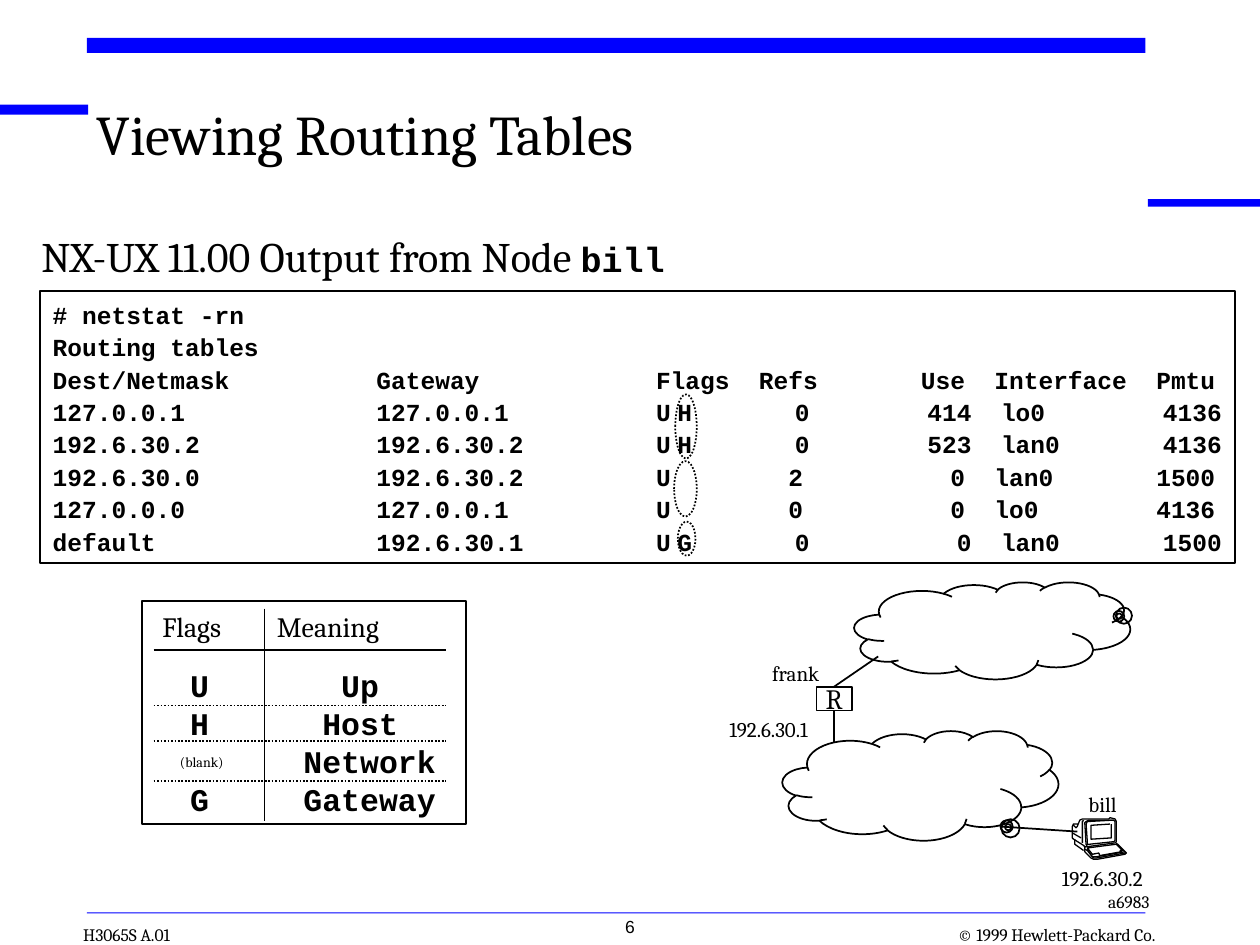
"""Build the routing table slide with its listing, flag legend and network sketch."""
from dataclasses import dataclass
from typing import Optional

from lxml import etree
from pptx import Presentation
from pptx.dml.color import RGBColor
from pptx.enum import dml, shapes, text
from pptx.oxml.ns import qn
from pptx.util import Inches, Pt


@dataclass(frozen=True)
class Theme:
    serif: str = "Cambria"
    mono: str = "Courier New"
    sans: str = "Arial"
    ink: RGBColor = RGBColor(0, 0, 0)
    accent: RGBColor = RGBColor(0, 0, 255)
    title: int = 32
    heading: int = 24
    node: int = 20
    flag: int = 18
    legend: int = 16
    code: int = 14
    label: int = 12
    footer: int = 10
    blank: int = 8
    narrow: int = 5
    line: float = 1
    fine_line: float = 0.75


THEME = Theme()
LEFT, CENTER, RIGHT = text.PP_ALIGN.LEFT, text.PP_ALIGN.CENTER, text.PP_ALIGN.RIGHT
TOP, MIDDLE, BOTTOM = text.MSO_ANCHOR.TOP, text.MSO_ANCHOR.MIDDLE, text.MSO_ANCHOR.BOTTOM
RECTANGLE, OVAL = shapes.MSO_SHAPE.RECTANGLE, shapes.MSO_SHAPE.OVAL
NARROW_SPACE = "~"


@dataclass(frozen=True)
class Box:
    left: float
    top: float
    width: float
    height: float

    def lengths(self) -> tuple:
        return tuple(Inches(v) for v in (self.left, self.top, self.width, self.height))


@dataclass(frozen=True)
class Label:
    words: str
    box: Box
    size: int
    font: str = THEME.serif
    align: text.PP_ALIGN = LEFT
    anchor: text.MSO_ANCHOR = TOP
    inset: bool = True
    wrap: bool = False
    spacing: Optional[float] = None


@dataclass(frozen=True)
class Rule:
    start: tuple
    end: tuple
    dotted: bool = False


@dataclass(frozen=True)
class Flag:
    letter: str
    meaning: str
    tab: float


RULES = (Box(0, 0.83, 0.7, 0.08), Box(0.69, 0.3, 8.4, 0.12),
         Box(9.11, 1.58, 0.9, 0.06), Box(0.69, 7.24, 8.4, 0.01))
LABELS = (
    Label("© 1999 Hewlett-Packard Co.", Box(7.35, 7.33, 1.82, 0.17), THEME.footer,
          align=RIGHT, anchor=BOTTOM, inset=False),
    Label("H3065S A.01", Box(0.66, 7.33, 0.82, 0.17), THEME.footer, anchor=BOTTOM, inset=False),
    Label("Viewing Routing Tables", Box(0.77, 0.87, 8.07, 0.67), THEME.title,
          inset=False, wrap=True, spacing=0.85),
    Label("a6983", Box(8.63, 7.02, 0.59, 0.27), THEME.footer, align=RIGHT),
    Label("frank", Box(6.03, 5.19, 0.61, 0.3), THEME.label),
    Label("192.6.30.2", Box(8.33, 6.82, 1, 0.3), THEME.label),
    Label("bill", Box(8.54, 6.23, 0.43, 0.3), THEME.label),
    Label("192.6.30.1", Box(5.69, 5.64, 1, 0.3), THEME.label),
    Label("(blank)", Box(1.33, 5.93, 0.55, 0.24), THEME.blank),
    Label("6", Box(3.96, 7.22, 2.08, 0.33), THEME.footer, THEME.sans, CENTER, wrap=True),
)
LISTING = (
    "# netstat -rn",
    "Routing tables",
    "Dest/Netmask          Gateway            Flags  Refs       Use  Interface  Pmtu",
    "127.0.0.1             127.0.0.1          U~H       0        414  lo0        4136",
    "192.6.30.2            192.6.30.2         U~H       0        523  lan0       4136",
    "192.6.30.0            192.6.30.2         U        2          0  lan0       1500",
    "127.0.0.0             127.0.0.1          U        0          0  lo0        4136",
    "default               192.6.30.1         U~G       0          0  lan0       1500",
)
FLAG_MARKS = (Box(5.36, 3.13, 0.17, 0.51), Box(5.35, 3.66, 0.18, 0.44),
              Box(5.38, 4.14, 0.14, 0.27))
CLOUDS = ((Box(6.78, 4.62, 2.19, 0.77), (0.46, -0.148)),
          (Box(6.21, 5.8, 2.19, 0.87), (0.318, 0.38)))
FLAGS = (Flag("U", "Up", 1.2), Flag("H", "Host", 1.05),
         Flag("", "Network", 0.9), Flag("G", "Gateway", 0.9))
LEGEND_RULES = (Rule((2.1, 4.83), (2.1, 6.52)), Rule((1.22, 5.16), (3.54, 5.16)),
                *(Rule((1.22, y), (3.54, y), True) for y in (5.6, 5.88, 6.2)))
COMPUTER_ORIGIN = (8.5, 6.49)
COMPUTER_OUTLINES = (
    ((10, 2), (9, 3), (9, 20)),
    ((31, 5), (16, 6), (16, 17), (32, 16), (32, 5)),
    ((34, 2), (14, 2), (12, 3), (11, 4), (12, 21), (13, 23), (15, 23)),
    ((32, 2), (14, 3), (13, 3), (12, 5), (13, 19), (13, 21), (15, 21), (34, 19), (35, 18),
     (35, 4), (35, 3), (34, 2), (32, 2)),
    ((3, 17), (3, 21), (10, 26)),
    ((43, 27), (20, 31), (17, 31), (13, 25)),
    ((43, 28), (20, 32), (18, 32), (17, 31), (13, 26), (11, 25)),
    ((36, 21), (13, 24), (17, 29), (22, 28), (23, 30), (40, 27), (39, 26), (41, 26), (36, 21)),
    ((2, 6), (4, 8), (5, 7), (7, 2), (9, 1), (30, 1), (31, 0), (35, 1), (36, 3), (36, 17),
     (36, 19), (35, 20), (13, 23), (11, 23), (10, 22), (2, 17), (1, 16), (1, 7), (2, 5), (6, 5)),
    ((36, 20), (43, 27), (44, 28), (43, 29), (21, 33), (18, 33), (16, 32), (12, 28), (11, 27),
     (11, 23), (12, 23)),
)


def set_font(font, size: int, name: str, bold: bool = False) -> None:
    font.size, font.name, font.bold = Pt(size), name, bold
    font.color.rgb = THEME.ink


def add_tab(paragraph, position: float) -> None:
    tabs = etree.SubElement(paragraph._p.get_or_add_pPr(), qn("a:tabLst"))
    etree.SubElement(tabs, qn("a:tab"), pos=str(Inches(position)), algn="l")


def style_line(line, width: float = THEME.line, dotted: bool = False) -> None:
    line.color.rgb, line.width = THEME.ink, Pt(width)
    if dotted:
        line.dash_style = dml.MSO_LINE.ROUND_DOT


def add_outline(slide, box: Box, kind=RECTANGLE, dotted: bool = False):
    shape = slide.shapes.add_shape(kind, *box.lengths())
    shape.shadow.inherit = False
    shape.fill.background()
    style_line(shape.line, dotted=dotted)
    return shape


def add_line(container, rule: Rule, width: float = THEME.line):
    ends = (Inches(v) for v in (*rule.start, *rule.end))
    connector = container.add_connector(shapes.MSO_CONNECTOR.STRAIGHT, *ends)
    style_line(connector.line, width, rule.dotted)
    etree.SubElement(connector._element.spPr, qn("a:effectLst"))
    return connector


def prepare_frame(shape, inset: bool = True, wrap: bool = False, anchor=TOP):
    frame = shape.text_frame
    frame.word_wrap, frame.vertical_anchor = wrap, anchor
    frame.margin_left = frame.margin_right = Inches(0.1 if inset else 0)
    frame.margin_top = frame.margin_bottom = Inches(0.05 if inset else 0)
    return frame


def add_paragraph(frame, index: int):
    return frame.add_paragraph() if index else frame.paragraphs[0]


def add_label(slide, label: Label) -> None:
    frame = prepare_frame(slide.shapes.add_textbox(*label.box.lengths()),
                          label.inset, label.wrap, label.anchor)
    paragraph = frame.paragraphs[0]
    paragraph.text, paragraph.alignment = label.words, label.align
    paragraph.line_spacing = label.spacing
    set_font(paragraph.font, label.size, label.font)


def add_heading(slide) -> None:
    frame = prepare_frame(slide.shapes.add_textbox(*Box(0.23, 1.78, 5.96, 0.5).lengths()))
    for words, size, name, bold in (
            ("NX-UX 11.00 Output from Node ", THEME.heading, THEME.serif, False),
            ("bill", THEME.node, THEME.mono, True)):
        run = frame.paragraphs[0].add_run()
        run.text = words
        set_font(run.font, size, name, bold)


def add_listing(slide) -> None:
    frame = prepare_frame(add_outline(slide, Box(0.32, 2.31, 9.48, 2.16)))
    for index, line in enumerate(LISTING):
        paragraph = add_paragraph(frame, index)
        paragraph.alignment, paragraph.line_spacing = LEFT, 1.1
        set_font(paragraph.font, THEME.code, THEME.mono, True)
        for part_index, part in enumerate(line.split(NARROW_SPACE)):
            if part_index:
                gap = paragraph.add_run()
                gap.text, gap.font.size = " ", Pt(THEME.narrow)
            paragraph.add_run().text = part
    for mark in FLAG_MARKS:
        add_outline(slide, mark, OVAL, dotted=True)


def add_legend(slide) -> None:
    add_outline(slide, Box(1.13, 4.77, 2.57, 1.77))
    header = prepare_frame(slide.shapes.add_textbox(*Box(1.19, 4.79, 2.17, 0.37).lengths()))
    paragraph = header.paragraphs[0]
    paragraph.text = "Flags\tMeaning"
    add_tab(paragraph, 0.91)
    set_font(paragraph.font, THEME.legend, THEME.serif)
    body = prepare_frame(slide.shapes.add_textbox(*Box(1.41, 5.24, 2.15, 1.3).lengths()))
    for index, flag in enumerate(FLAGS):
        paragraph = add_paragraph(body, index)
        paragraph.text = f"{flag.letter}\t{flag.meaning}"
        add_tab(paragraph, flag.tab)
        set_font(paragraph.font, THEME.flag, THEME.mono, True)
    for rule in LEGEND_RULES:
        add_line(slide.shapes, rule)


def add_computer(slide) -> None:
    group = slide.shapes.add_group_shape()
    left, top = COMPUTER_ORIGIN
    for outline in COMPUTER_OUTLINES:
        points = [(Inches(left + x / 100), Inches(top + y / 100)) for x, y in outline]
        builder = group.shapes.build_freeform(*points[0])
        builder.add_line_segments(points[1:], close=False)
        shape = builder.convert_to_shape()
        shape.shadow.inherit = False
        shape.fill.background()
        style_line(shape.line, THEME.fine_line)
    add_line(group.shapes, Rule((8.58, 6.65), (8.51, 6.61)), THEME.fine_line)


def add_network(slide) -> None:
    for box, tail in CLOUDS:
        cloud = add_outline(slide, box, shapes.MSO_SHAPE.CLOUD_CALLOUT)
        cloud.adjustments[0], cloud.adjustments[1] = tail
    router = add_outline(slide, Box(6.48, 5.45, 0.28, 0.19))
    paragraph = prepare_frame(router, anchor=MIDDLE).paragraphs[0]
    paragraph.text, paragraph.alignment = "R", CENTER
    set_font(paragraph.font, THEME.legend, THEME.serif)
    add_line(slide.shapes, Rule((6.62, 5.64), (6.62, 5.89))).begin_connect(router, 2)
    add_line(slide.shapes, Rule((6.62, 5.45), (6.97, 5.21))).begin_connect(router, 0)
    add_line(slide.shapes, Rule((8.55, 6.6), (7.94, 6.56)))
    add_computer(slide)


def main() -> None:
    presentation = Presentation()
    presentation.slide_width, presentation.slide_height = Inches(10), Inches(7.5)
    slide = presentation.slides.add_slide(presentation.slide_layouts[6])
    for box in RULES:
        bar = add_outline(slide, box)
        bar.fill.solid()
        bar.fill.fore_color.rgb = THEME.accent
        bar.line.fill.background()
    add_heading(slide)
    add_listing(slide)
    add_network(slide)
    add_legend(slide)
    for label in LABELS:
        add_label(slide, label)
    presentation.save("out.pptx")


if __name__ == "__main__":
    main()
